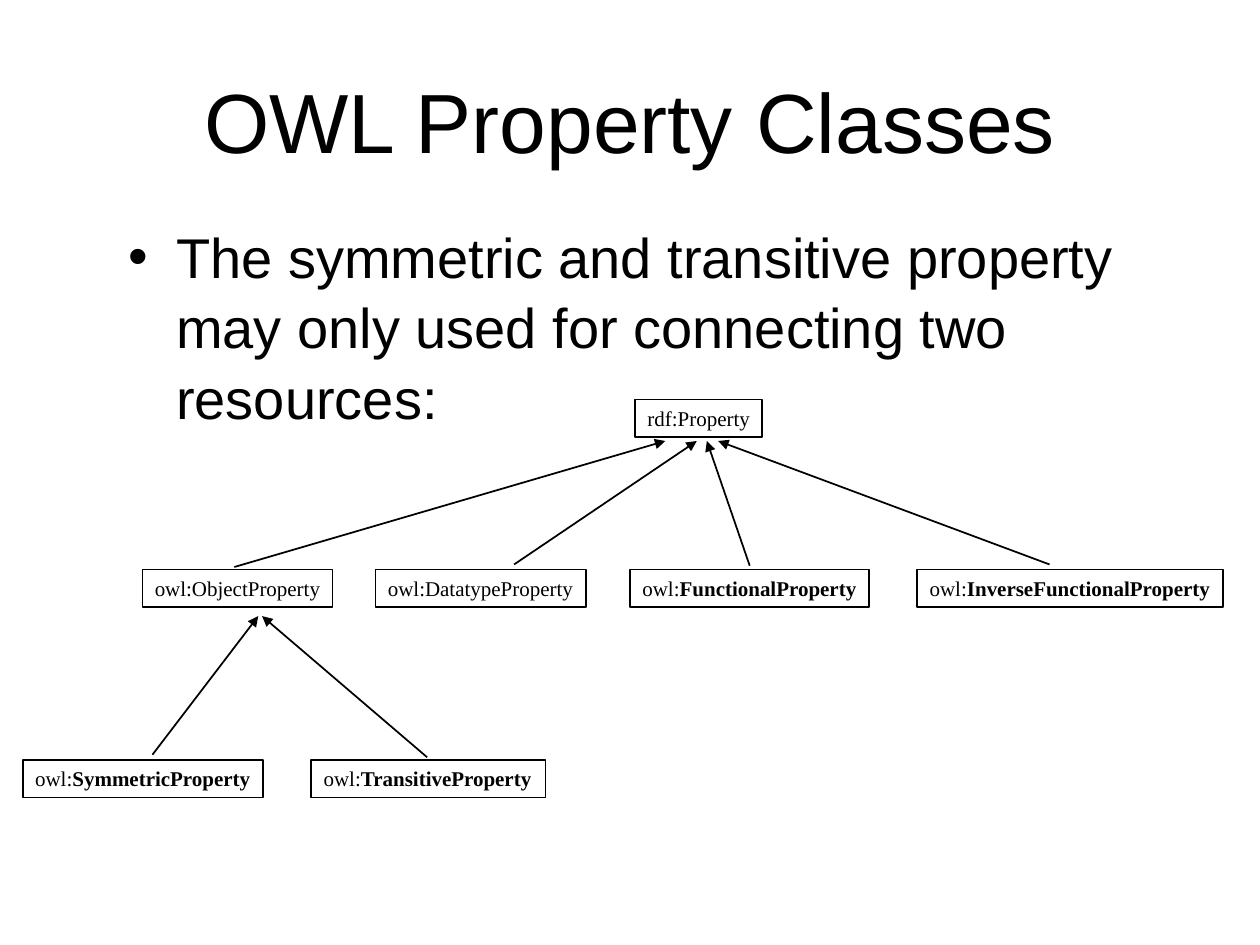
from lxml.etree import SubElement
from pptx import Presentation
from pptx.dml.color import RGBColor
from pptx.enum.shapes import MSO_CONNECTOR, MSO_SHAPE
from pptx.enum.text import MSO_ANCHOR, PP_ALIGN
from pptx.oxml.ns import qn
from pptx.util import Inches, Pt

INK = "000000"
TITLE = "OWL Property Classes"
STATEMENT = ("The symmetric and transitive property may only used "
             "for connecting two resources:")
BOX_HEIGHT = 0.3

# Each row of the hierarchy: top, then (left, width, prefix, name, bold name)
CLASS_ROWS = [
    (3.17, [(5.04, 1.01, "rdf:", "Property", False)]),
    (4.52, [(1.13, 1.51, "owl:", "ObjectProperty", False),
            (2.98, 1.67, "owl:", "DatatypeProperty", False),
            (5.00, 1.90, "owl:", "FunctionalProperty", True),
            (7.28, 2.43, "owl:", "InverseFunctionalProperty", True)]),
    (6.03, [(0.18, 1.91, "owl:", "SymmetricProperty", True),
            (2.47, 1.86, "owl:", "TransitiveProperty", True)]),
]

# Arrows from subclass to superclass: start x, start y, end x, end y
ARROWS = [
    (1.86, 4.50, 5.28, 3.50),
    (4.08, 4.48, 5.53, 3.50),
    (5.95, 4.49, 5.61, 3.50),
    (8.33, 4.48, 5.70, 3.50),
    (1.21, 5.99, 2.05, 4.89),
    (3.39, 6.01, 2.08, 4.89),
]


def color(hex_value):
    return RGBColor.from_string(hex_value)


def add_run(paragraph, text, **font_format):
    run = paragraph.add_run()
    run.text = text
    run.font.color.rgb = color(INK)
    for name, value in font_format.items():
        setattr(run.font, name, value)


def add_text_area(slide, left, top, width, height, anchor):
    area = slide.shapes.add_textbox(*map(Inches, (left, top, width, height)))
    area.text_frame.word_wrap = True
    area.text_frame.vertical_anchor = anchor
    return area.text_frame.paragraphs[0]


def add_class_box(slide, left, top, width, prefix, name, bold):
    box = slide.shapes.add_shape(
        MSO_SHAPE.RECTANGLE, *map(Inches, (left, top, width, BOX_HEIGHT)))
    box.shadow.inherit = False
    box.fill.background()
    box.line.color.rgb = color(INK)
    box.line.width = Pt(1)
    box.text_frame.word_wrap = False
    box.text_frame.vertical_anchor = MSO_ANCHOR.TOP
    label = box.text_frame.paragraphs[0]
    label.alignment = PP_ALIGN.LEFT
    for text, is_bold in ((prefix, False), (name, bold)):
        add_run(label, text, name="Times New Roman", size=Pt(12), bold=is_bold)


def add_arrow(slide, *ends):
    arrow = slide.shapes.add_connector(
        MSO_CONNECTOR.STRAIGHT, *map(Inches, ends))
    arrow.line.color.rgb = color(INK)
    arrow.line.width = Pt(1)
    SubElement(arrow.line._get_or_add_ln(), qn("a:tailEnd"), type="triangle")
    SubElement(arrow._element.spPr, qn("a:effectLst"))


def main():
    prs = Presentation()
    prs.slide_width, prs.slide_height = Inches(10), Inches(7.5)
    slide = prs.slides.add_slide(prs.slide_layouts[6])

    # Title
    title = add_text_area(slide, 0.75, 0.33, 8.5, 1.25, MSO_ANCHOR.MIDDLE)
    title.alignment = PP_ALIGN.CENTER
    add_run(title, TITLE, name="Arial", size=Pt(48))

    # Class hierarchy
    for top, classes in CLASS_ROWS:
        for left, width, prefix, name, bold in classes:
            add_class_box(slide, left, top, width, prefix, name, bold)
    for ends in ARROWS:
        add_arrow(slide, *ends)

    # Bulleted statement
    statement = add_text_area(slide, 0.92, 1.69, 8.5, 4.5, MSO_ANCHOR.TOP)
    statement.line_spacing = 1.05
    properties = statement._p.get_or_add_pPr()
    properties.set("marL", str(Inches(0.38)))
    properties.set("indent", str(-Inches(0.38)))
    SubElement(properties, qn("a:buFont"), typeface="Arial")
    SubElement(properties, qn("a:buChar"), char="•")
    add_run(statement, STATEMENT, name="Arial", size=Pt(32))

    prs.save("out.pptx")


if __name__ == "__main__":
    main()
